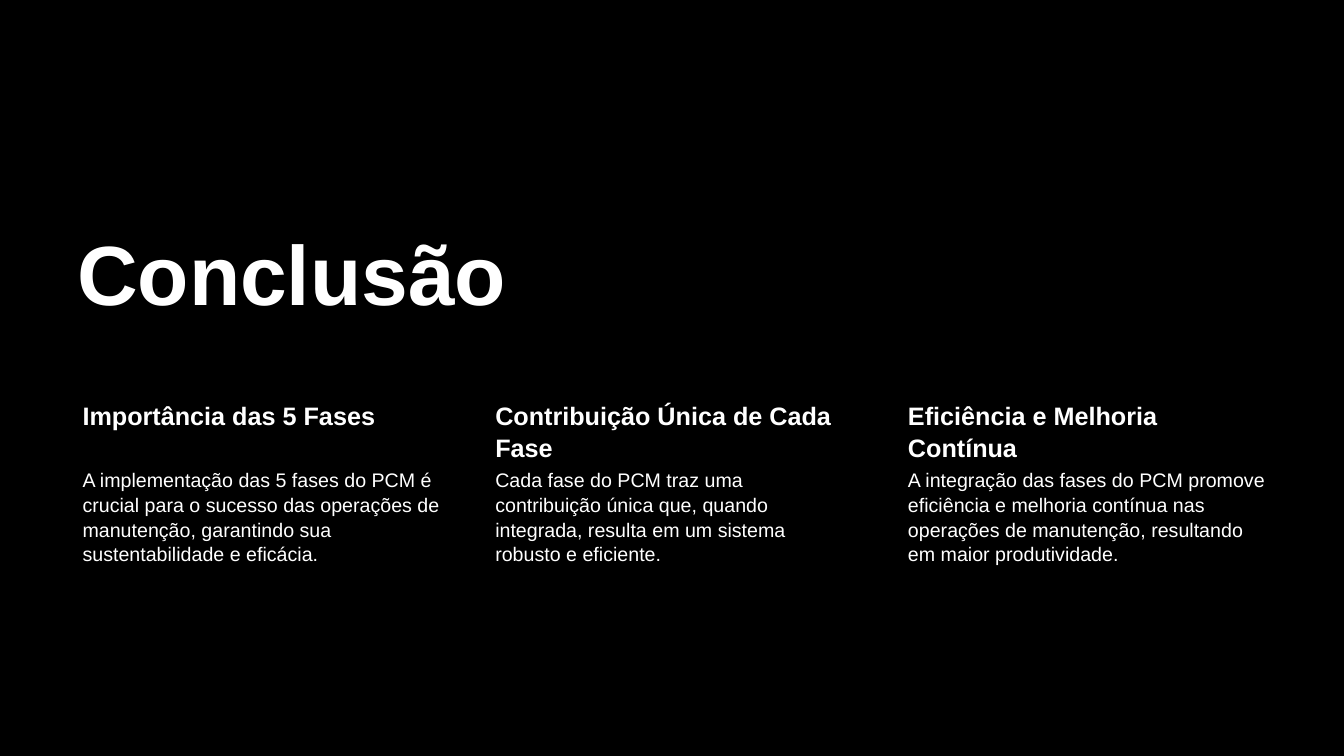
from pptx import Presentation
from pptx.dml.color import RGBColor
from pptx.enum.text import MSO_ANCHOR
from pptx.util import Pt

COLORS = {"background": "000000", "text": "FFFFFF"}
FONT = "Arial"
LEFT = 48
COLUMN_WIDTH = 268
COLUMN_STEP = 294.8
HEADING_TOP, HEADING_HEIGHT = 283, 49
BODY_TOP, BODY_HEIGHT = 332, 148

COLUMNS = [
    ("Importância das 5 Fases",
     "A implementação das 5 fases do PCM é crucial para o sucesso das operações "
     "de manutenção, garantindo sua sustentabilidade e eficácia."),
    ("Contribuição Única de Cada Fase",
     "Cada fase do PCM traz uma contribuição única que, quando integrada, "
     "resulta em um sistema robusto e eficiente."),
    ("Eficiência e Melhoria Contínua",
     "A integração das fases do PCM promove eficiência e melhoria contínua nas "
     "operações de manutenção, resultando em maior produtividade."),
]


def set_background(slide):
    fill = slide.background.fill
    fill.solid()
    fill.fore_color.rgb = RGBColor.from_string(COLORS["background"])


def add_text(slide, text, box, size, insets, bold=False, line_spacing=1.05,
             anchor=MSO_ANCHOR.TOP):
    shape = slide.shapes.add_textbox(*map(Pt, box))
    frame = shape.text_frame
    frame.word_wrap = True
    frame.vertical_anchor = anchor
    frame.margin_left, frame.margin_top, frame.margin_right, frame.margin_bottom = map(Pt, insets)
    paragraph = frame.paragraphs[0]
    paragraph.text = text
    paragraph.line_spacing = line_spacing
    paragraph.font.name = FONT
    paragraph.font.size = Pt(size)
    paragraph.font.bold = bold
    paragraph.font.color.rgb = RGBColor.from_string(COLORS["text"])


def add_title(slide, text):
    add_text(slide, text, (LEFT, 145.5, 578, 89), 60, (7.2, 3.6, 7.2, 3.6),
             bold=True, line_spacing=0.9, anchor=MSO_ANCHOR.BOTTOM)


def add_column(slide, left, heading, body):
    add_text(slide, heading, (left, HEADING_TOP, COLUMN_WIDTH, HEADING_HEIGHT),
             18, (11, 2, 2, 2), bold=True)
    add_text(slide, body, (left, BODY_TOP, COLUMN_WIDTH, BODY_HEIGHT),
             14, (11, 1.5, 1.5, 1.5))


def main():
    presentation = Presentation()
    presentation.slide_width = Pt(960)
    presentation.slide_height = Pt(540)
    slide = presentation.slides.add_slide(presentation.slide_layouts[6])
    set_background(slide)
    add_title(slide, "Conclusão")
    for index, (heading, body) in enumerate(COLUMNS):
        add_column(slide, LEFT + index * COLUMN_STEP, heading, body)
    presentation.save("out.pptx")


if __name__ == "__main__":
    main()
